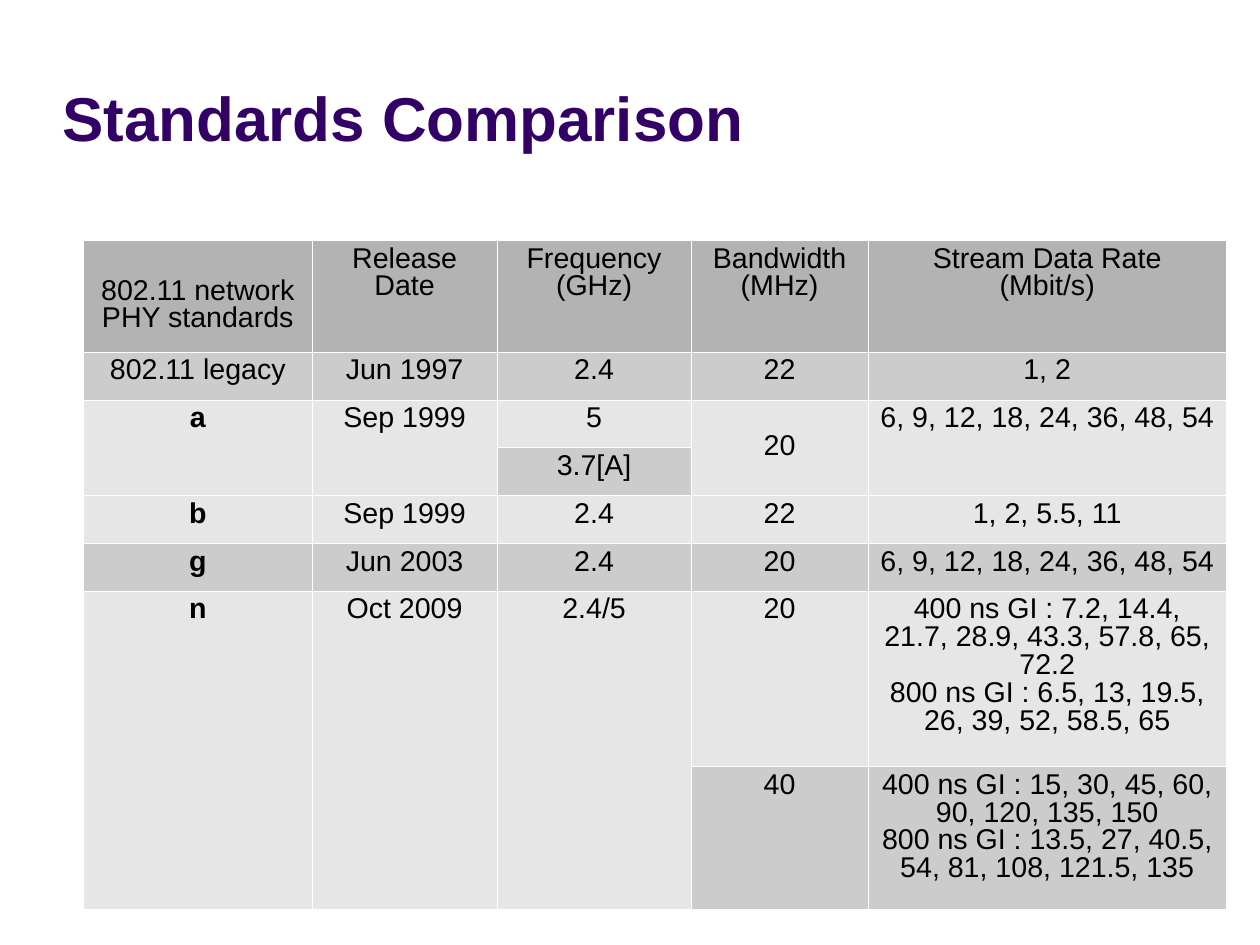
from lxml import etree
from pptx import Presentation
from pptx.dml.color import RGBColor
from pptx.enum.text import MSO_ANCHOR, PP_ALIGN
from pptx.oxml.ns import qn
from pptx.util import Cm, Inches, Pt

CENTER, LEFT = PP_ALIGN.CENTER, PP_ALIGN.LEFT
TOP, MIDDLE = MSO_ANCHOR.TOP, MSO_ANCHOR.MIDDLE

PAGE_WIDTH = Cm(28)
PAGE_HEIGHT = Cm(21)
FONT = "Arial"
HEADER_FILL = "B3B3B3"
BAND_FILLS = ["E6E6E6", "CCCCCC"]
BORDER_COLOR, BORDER_WIDTH = "FFFFFF", Pt(0.06)

# Percent of the page width and height
COLUMN_WIDTHS = [18.15, 14.68, 15.4, 14.05, 28.42]
ROW_HEIGHTS = [11.85] + [5.06] * 5 + [18.55, 15.15]

# None continues the cell above
STANDARDS = [
    ["802.11 network PHY standards", "Release Date", "Frequency\n(GHz)",
     "Bandwidth\n(MHz)", "Stream Data Rate\n(Mbit/s)"],
    ["802.11 legacy", "Jun 1997", "2.4", "22", "1, 2"],
    ["a", "Sep 1999", "5", "20", "6, 9, 12, 18, 24, 36, 48, 54"],
    [None, None, "3.7[A]", None, None],
    ["b", "Sep 1999", "2.4", "22", "1, 2, 5.5, 11"],
    ["g", "Jun 2003", "2.4", "20", "6, 9, 12, 18, 24, 36, 48, 54"],
    ["n", "Oct 2009", "2.4/5", "20",
     "400 ns GI : 7.2, 14.4, 21.7, 28.9, 43.3, 57.8, 65, 72.2\n"
     "800 ns GI : 6.5, 13, 19.5, 26, 39, 52, 58.5, 65"],
    [None, None, None, "40",
     "400 ns GI : 15, 30, 45, 60, 90, 120, 135, 150\n"
     "800 ns GI : 13.5, 27, 40.5, 54, 81, 108, 121.5, 135"],
]


def across(percent):
    return round(PAGE_WIDTH * percent / 100)


def down(percent):
    return round(PAGE_HEIGHT * percent / 100)


def color(hex_code):
    return RGBColor.from_string(hex_code)


def set_font(para, size, hex_code, bold):
    font = para.font
    font.name, font.size, font.bold = FONT, Pt(size), bold
    font.color.rgb = color(hex_code)


def add_title(page, text):
    title = page.shapes.title
    title.left, title.top = across(4.95), down(4)
    title.width, title.height = across(90), down(16.7)
    frame = title.text_frame
    frame.text = text
    frame.vertical_anchor = MIDDLE
    frame.margin_left = frame.margin_right = 0
    frame.margin_top = frame.margin_bottom = 0
    para = frame.paragraphs[0]
    para.alignment = LEFT
    set_font(para, 39, "330066", True)


def set_borders(cell):
    properties = cell._tc.get_or_add_tcPr()
    for side in ("a:lnL", "a:lnR", "a:lnT", "a:lnB"):
        line = etree.SubElement(properties, qn(side), w=str(BORDER_WIDTH))
        fill = etree.SubElement(line, qn("a:solidFill"))
        etree.SubElement(fill, qn("a:srgbClr"), val=BORDER_COLOR)


def style_cell(cell, fill):
    set_borders(cell)
    cell.fill.solid()
    cell.fill.fore_color.rgb = color(fill)


def write_cell(cell, text, bold):
    cell.text = text
    cell.vertical_anchor = TOP
    for para in cell.text_frame.paragraphs:
        para.alignment = CENTER
        para.line_spacing = 0.87
        set_font(para, 18, "000000", bold)


def add_standards_table(page):
    table = page.shapes.add_table(
        len(ROW_HEIGHTS), len(COLUMN_WIDTHS), across(6.62), down(25.4),
        across(sum(COLUMN_WIDTHS)), down(sum(ROW_HEIGHTS))).table
    table.first_row = table.horz_banding = False
    for column, width in zip(table.columns, COLUMN_WIDTHS):
        column.width = across(width)
    for row, height in zip(table.rows, ROW_HEIGHTS):
        row.height = down(height)

    for row, texts in enumerate(STANDARDS):
        fill = BAND_FILLS[row % 2] if row else HEADER_FILL
        for column, text in enumerate(texts):
            cell = table.cell(row, column)
            if text is None:
                style_cell(cell, BAND_FILLS[(row - 1) % 2])
                table.cell(row - 1, column).merge(cell)
            else:
                style_cell(cell, fill)
                write_cell(cell, text, text in ("a", "b", "g", "n"))

    table.cell(0, 0).margin_top = Inches(0.33)
    table.cell(2, 3).vertical_anchor = MIDDLE


def main():
    deck = Presentation()
    deck.slide_width = PAGE_WIDTH
    deck.slide_height = PAGE_HEIGHT
    page = deck.slides.add_slide(deck.slide_layouts.get_by_name("Title Only"))
    add_title(page, "Standards Comparison")
    add_standards_table(page)
    deck.save("out.pptx")


if __name__ == "__main__":
    main()
